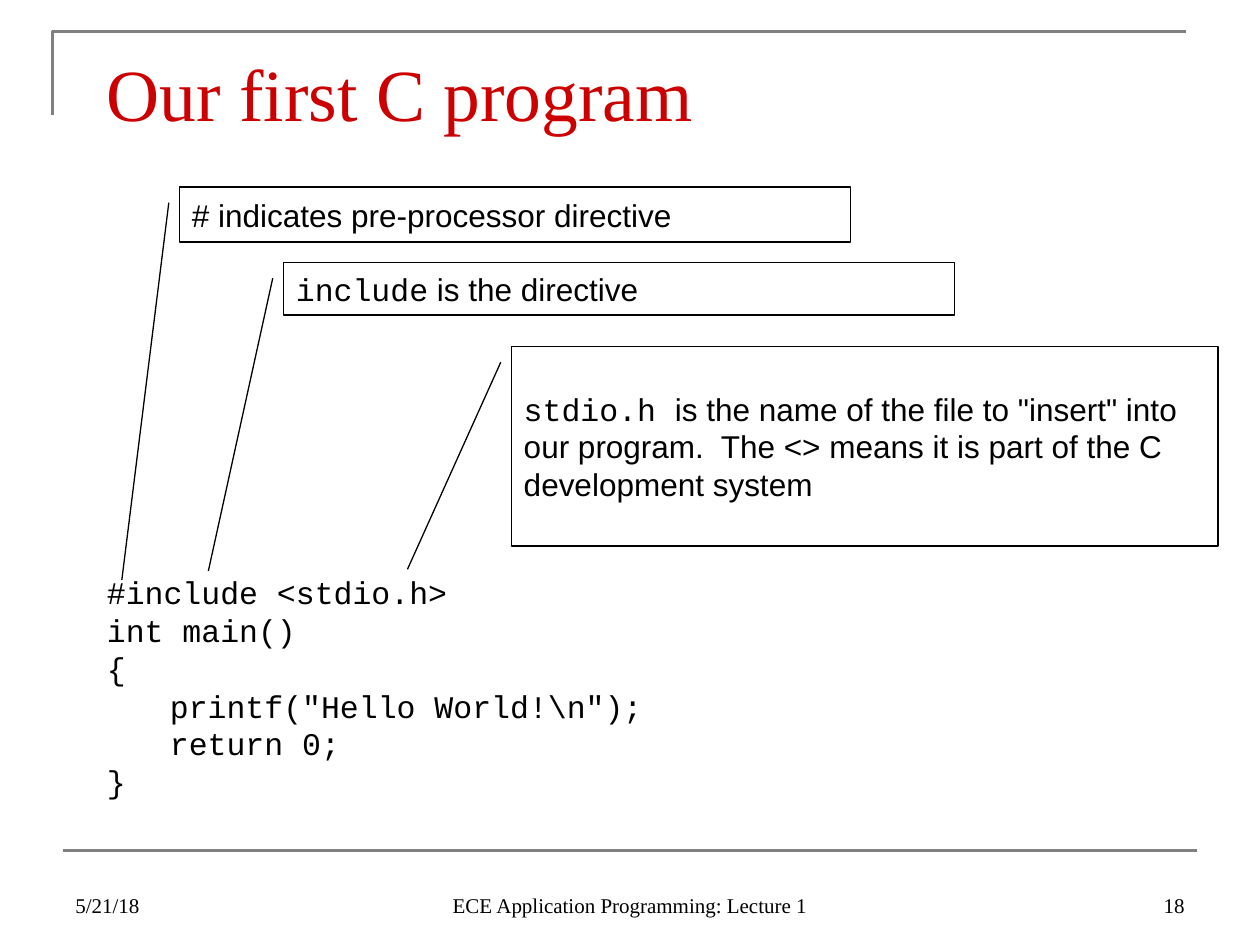
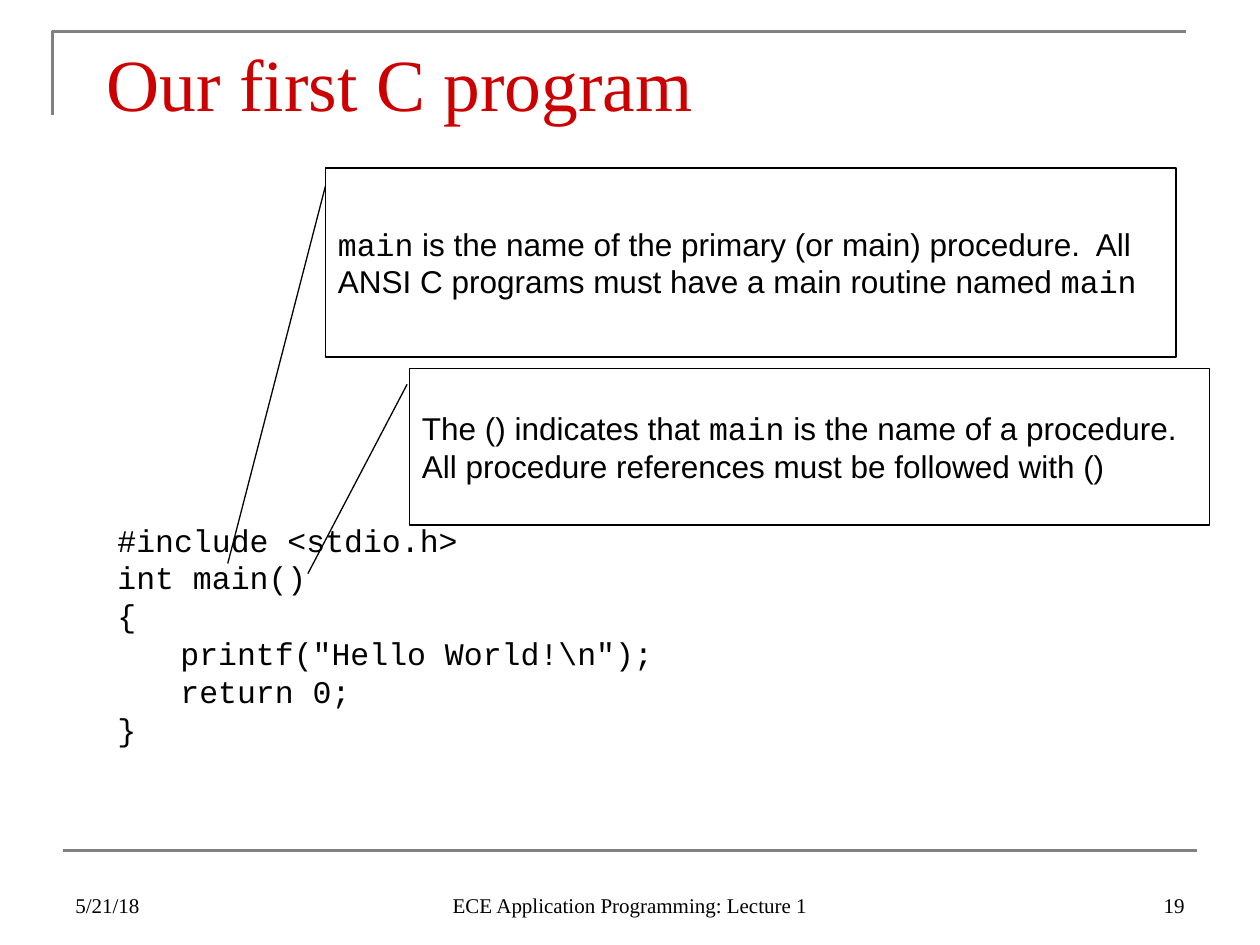
from dataclasses import dataclass

from lxml import etree
from pptx import Presentation
from pptx.dml.color import RGBColor
from pptx.enum.shapes import MSO_CONNECTOR, MSO_SHAPE
from pptx.enum.text import MSO_ANCHOR, PP_ALIGN
from pptx.oxml.ns import qn
from pptx.shapes.base import BaseShape
from pptx.slide import Slide
from pptx.util import Inches, Pt

LINE = MSO_CONNECTOR.STRAIGHT
NOTE = MSO_SHAPE.LINE_CALLOUT_1
TOP, MID, LOW = MSO_ANCHOR.TOP, MSO_ANCHOR.MIDDLE, MSO_ANCHOR.BOTTOM
LEFT, CENTER, RIGHT = PP_ALIGN.LEFT, PP_ALIGN.CENTER, PP_ALIGN.RIGHT

# Grid: 120 columns by 90 rows
COLS, ROWS = 120, 90
WIDE, HIGH = Inches(10), Inches(7.5)

Box = tuple[float, float, float, float]  # column, row, columns, rows


@dataclass(frozen=True)
class Theme:
    ink: RGBColor = RGBColor(0, 0, 0)
    red: RGBColor = RGBColor(0xCC, 0, 0)
    gray: RGBColor = RGBColor(0x80, 0x80, 0x80)
    serif: str = "Times New Roman"
    sans: str = "Arial"
    mono: str = "Courier New"
    head: int = 42
    body: int = 18
    foot: int = 12
    rule: float = 1.5
    thin: float = 0.75


@dataclass(frozen=True)
class Callout:
    box: Box
    text: str  # words between backticks are set as code
    start: tuple[float, float]  # x, y as shares of the box
    end: tuple[float, float]


@dataclass(frozen=True)
class Page:
    number: int
    head: float  # title row
    code: tuple[float, float]  # column, row
    notes: tuple[Callout, ...]


THEME = Theme()
TITLE = "Our first C program"
DATE = "5/21/18"
COURSE = "ECE Application Programming: Lecture 1"
CODE = r"""#include <stdio.h>
int main()
{
	printf("Hello World!\n");
	return 0;
}"""

PAGES = (
    Page(18, 4, (9, 54), (
        Callout((17.1, 17.8, 63.9, 5.25),
                "# indicates pre-processor directive",
                (-0.016, 0.287), (-0.086, 7.131)),
        Callout((27, 25, 63.9, 5),
                "`include` is the directive",
                (-0.016, 0.3), (-0.112, 5.879)),
        Callout((48.7, 33, 67.3, 19),
                '`stdio.h `is the name of the file to "insert" into our program.'
                "  The <> means it is part of the C development system",
                (-0.015, 0.079), (-0.147, 1.117)),
    )),
    Page(19, 3, (10, 49), (
        Callout((31, 16, 81, 18),
                "`main` is the name of the primary (or main) procedure.  All ANSI C"
                " programs must have a main routine named `main`",
                (0, 0.094), (-0.115, 2.093)),
        Callout((39, 35.1, 76.2, 14.9),
                "The () indicates that `main` is the name of a procedure.  All"
                " procedure references must be followed with ()",
                (-0.003, 0.101), (-0.127, 1.311)),
    )),
)


def col(n: float) -> int:
    return round(WIDE * n / COLS)


def row(n: float) -> int:
    return round(HIGH * n / ROWS)


def place(box: Box) -> tuple[int, int, int, int]:
    x, y, w, h = box
    return col(x), row(y), col(w), row(h)


def write(shape: BaseShape, text: str, *, font: str, size: int = THEME.body,
          color: RGBColor = THEME.ink, align: PP_ALIGN = LEFT,
          anchor: MSO_ANCHOR = TOP) -> None:
    """Fill a shape with one paragraph; backticks switch to the code font."""
    frame = shape.text_frame
    frame.word_wrap = True
    frame.vertical_anchor = anchor
    para = frame.paragraphs[0]
    para.alignment = align
    para.font.size = Pt(size)
    for i, line in enumerate(text.split("\n")):
        if i:
            para.add_line_break()
        for j, part in enumerate(line.split("`")):
            if part:
                run = para.add_run()
                run.text = part
                run.font.name = THEME.mono if j % 2 else font
                run.font.size = Pt(size)
                run.font.color.rgb = color


def label(slide: Slide, box: Box, text: str, **style) -> None:
    write(slide.shapes.add_textbox(*place(box)), text, **style)


def stroke(shape: BaseShape, color: RGBColor, width: float) -> None:
    shape.line.color.rgb = color
    shape.line.width = Pt(width)


def frame(slide: Slide) -> None:
    # Corner bracket above the title
    path = slide.shapes.build_freeform(col(5), row(11))
    path.add_line_segments([(col(5), row(3)), (col(113), row(3))], close=False)
    angle = path.convert_to_shape()
    angle.shadow.inherit = False
    angle.fill.background()
    stroke(angle, THEME.gray, THEME.rule)

    # Rule above the footer
    rule = slide.shapes.add_connector(LINE, col(6), row(81), col(114), row(81))
    stroke(rule, THEME.gray, THEME.rule)
    etree.SubElement(rule.element.spPr, qn("a:effectLst"))


def footer(slide: Slide, number: int) -> None:
    for x, w, text, align in ((6, 28, DATE, LEFT), (41, 38, COURSE, CENTER),
                              (86, 28, str(number), RIGHT)):
        label(slide, (x, 82, w, 6), text, font=THEME.serif, size=THEME.foot,
              align=align, anchor=LOW)


def callout(slide: Slide, note: Callout) -> None:
    shape = slide.shapes.add_shape(NOTE, *place(note.box))
    shape.shadow.inherit = False
    shape.fill.background()
    stroke(shape, THEME.ink, THEME.thin)
    # Pointer ends are stored as y, x pairs
    for i, share in enumerate((*note.start[::-1], *note.end[::-1])):
        shape.adjustments[i] = share
    write(shape, note.text, font=THEME.sans, anchor=MID)


def build(slide: Slide, page: Page) -> None:
    frame(slide)
    label(slide, (9, page.head, 102, 11), TITLE, font=THEME.serif,
          size=THEME.head, color=THEME.red)
    label(slide, (*page.code, 103, 30), CODE, font=THEME.mono)
    for note in page.notes:
        callout(slide, note)
    footer(slide, page.number)


def main() -> None:
    deck = Presentation()
    deck.slide_width, deck.slide_height = WIDE, HIGH
    blank = deck.slide_layouts[6]
    for page in PAGES:
        build(deck.slides.add_slide(blank), page)
    deck.save("out.pptx")


if __name__ == "__main__":
    main()
